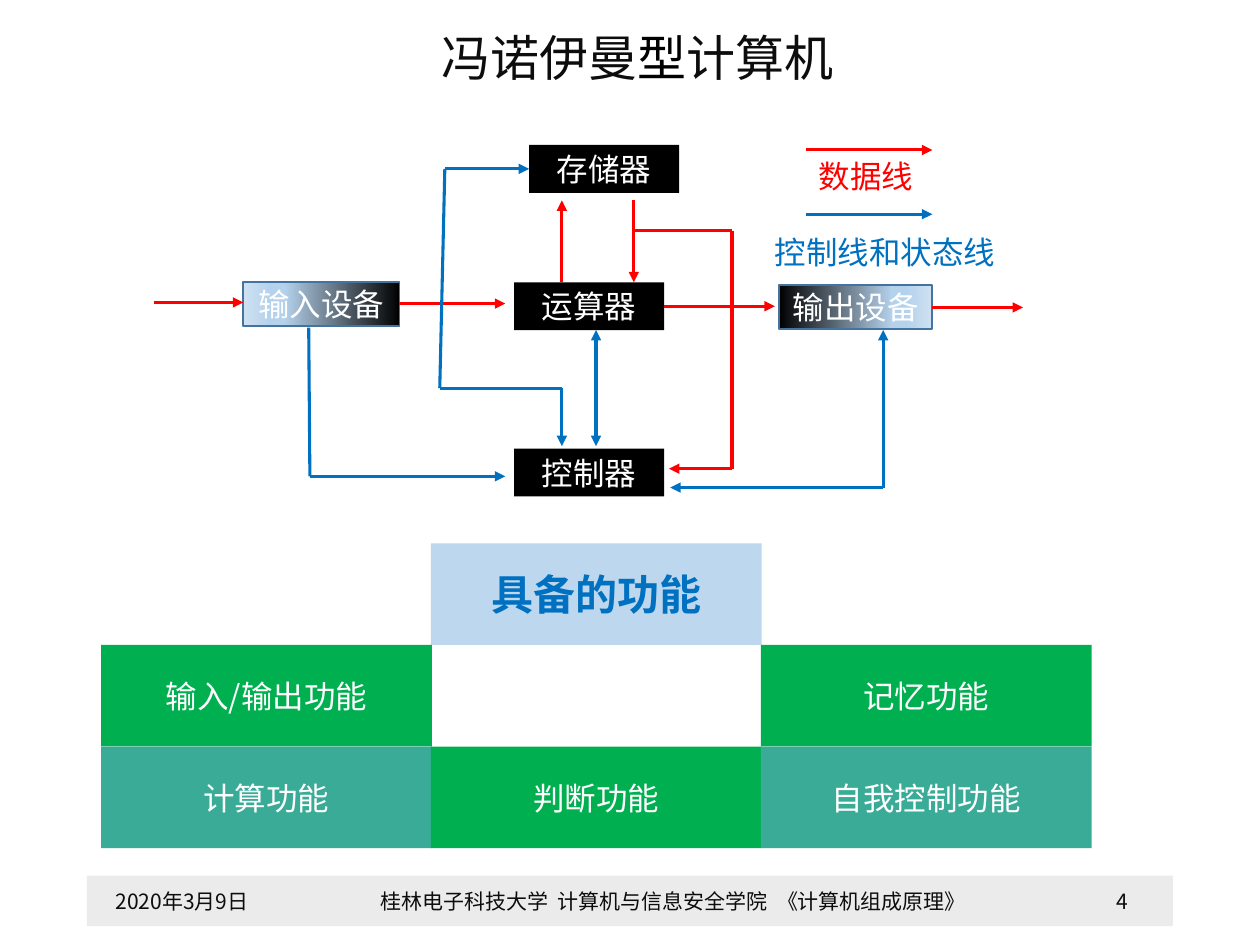
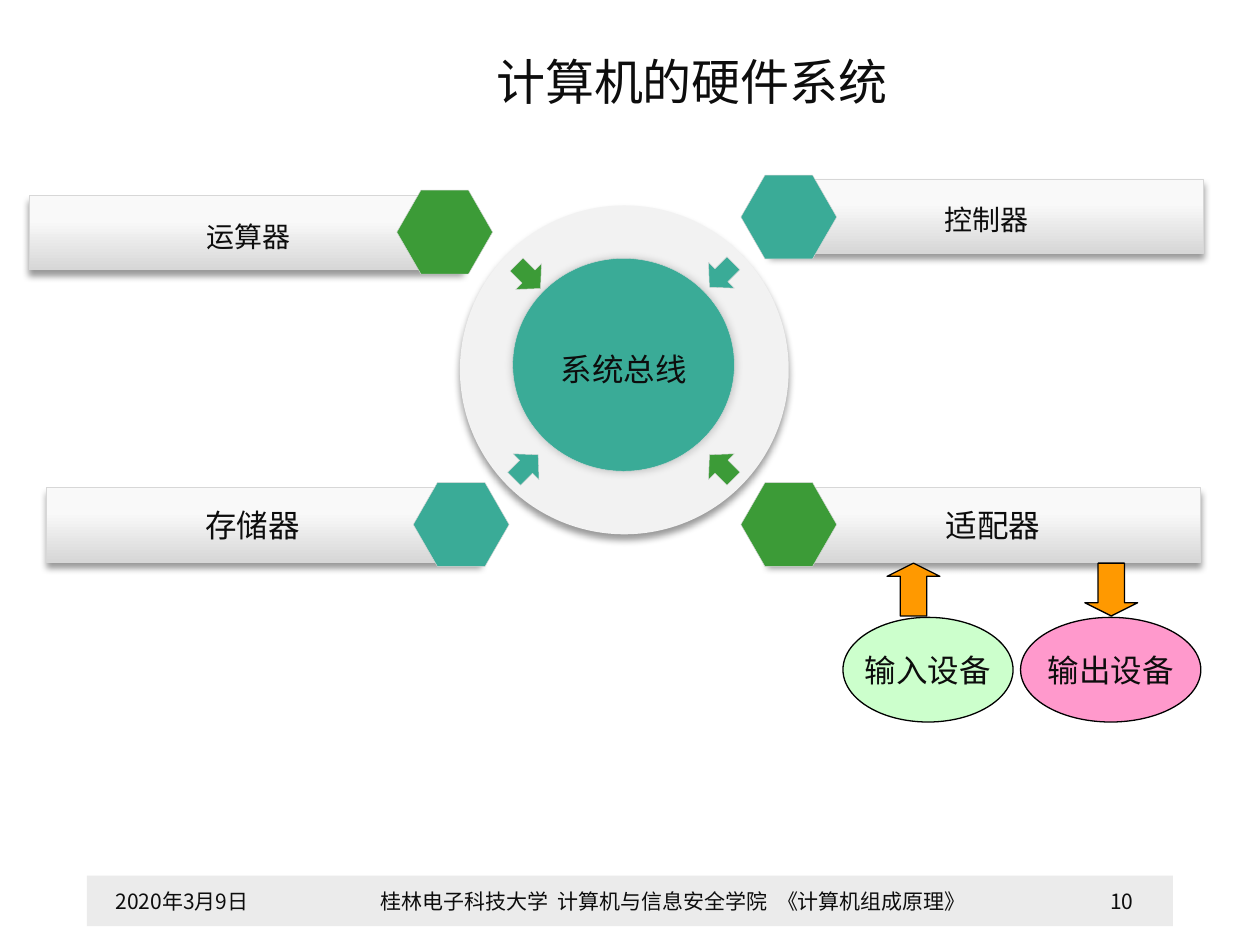
"""Build two slides on the von Neumann computer and its hardware system."""
from lxml import etree
from copy import deepcopy
from pptx import Presentation, util as u
from pptx.dml import color
from pptx.enum import shapes, text
from pptx.oxml import ns

FOOTER = [("2020年3月9日", 49.7, 108.7),
          ("桂林电子科技大学  计算机与信息安全学院  《计算机组成原理》", 207.4, 355)]
PAGE_NUMBER_PLACE = (612, 58.3)

UNITS = [("存储器", 302.4, 82.8), ("运算器", 293.8, 161.3), ("控制器", 293.8, 256.3)]
DEVICES = [("输入设备", 139, 161.3, 89.3, 180), ("输出设备", 445, 162.7, 87.8, 0)]
LEGEND = [("数据线", "data", 460.8, 88.6, 72.7), ("控制线和状态线", "control", 435.6, 131.8, 149)]
ONE_WAY, TWO_WAY = False, True
ROUTES = [
    ("data", ONE_WAY, [(87.8, 172.8), (139, 172.8)]),
    ("data", ONE_WAY, [(228.2, 173.5), (288.7, 173.5)]),
    ("data", ONE_WAY, [(379.4, 175), (442.8, 175)]),
    ("data", ONE_WAY, [(532.8, 175.7), (584.6, 175.7)]),
    ("data", ONE_WAY, [(362.2, 114.5), (362.2, 161.3)]),
    ("data", ONE_WAY, [(321.1, 161.3), (321.1, 114.5)]),
    ("data", ONE_WAY, [(362.2, 131.8), (418.3, 131.8), (418.3, 267.8), (382.3, 267.8)]),
    ("data", ONE_WAY, [(460.8, 85.7), (532.8, 85.7)]),
    ("control", ONE_WAY, [(460.8, 122.4), (532.8, 122.4)]),
    ("control", ONE_WAY, [(176.4, 187.2), (177.1, 272.2), (288.7, 272.2)]),
    ("control", TWO_WAY, [(340.6, 188.6), (340.6, 254.9)]),
    ("control", TWO_WAY, [(302.4, 96.5), (254.2, 96.5), (251.3, 221.8),
                          (321.1, 221.8), (321.1, 254.9)]),
    ("control", TWO_WAY, [(504.7, 188.6), (504.7, 278.6), (383, 278.6)]),
]
FUNCTIONS = [
    [None, ("具备的功能", "heading_fill"), None],
    [("输入/输出功能", "function"), None, ("记忆功能", "function")],
    [("计算功能", "teal"), ("判断功能", "function"), ("自我控制功能", "teal")],
]

BARS = [(" 运算器", 16.6, 111.6, 226.8, 108.7, "green"),
        ("控制器", 439.9, 102.2, 423.4, 100.1, "teal"),
        (None, 438.5, 278.6, 423.4, 275.8, "green"),
        (None, 26.6, 278.6, 236.2, 275.8, "teal")]
BAR_LABELS = [("适配器", 533.5), ("存储器", 110.2)]
BUS_ARROWS = [(291.6, 148.3, 315, "green"), (401.8, 147.6, 45, "teal"),
              (401.8, 257, 135, "green"), (290.2, 257, 225, "teal")]
PERIPHERALS = [("输入设备", 481.7, 97.2, "input", 506.9, "UP_ARROW"),
               ("输出设备", 583.2, 103, "output", 619.9, "DOWN_ARROW")]

THEME = {
    "font": "Noto Sans CJK SC",
    "sizes": {"title": 28, "heading": 24, "body": 18, "bar": 16, "footer": 12},
    "colours": {
        "ink": "0D0D0D", "black": "000000", "white": "FFFFFF", "footer": "EBEBEB",
        "data": "FF0000", "control": "0070C0", "device_line": "43739E",
        "heading_fill": "BDD7EE", "function": "00B050", "teal": "3AAB97",
        "green": "3C9B37", "ring": "F2F2F2", "edge": "D7D7D7",
        "input": "CCFFCC", "output": "FF99CC", "peripheral_arrow": "FF9900"},
    "device_gradient": [(0, "000000"), (0.74, "B5D2EC"), (0.83, "B5D2EC"), (1, "CEE1F2")],
    "bar_gradient": [(0.33, "F9F9F9"), (1, "D7D7D7")],
    "drop_shadow": (40, 4, 3, 90),
    "glow_shadow": (20, 5, 0, 0),
}


def rgb(name):
    return color.RGBColor.from_string(THEME["colours"][name])


def write(shape, content, size="body", colour="ink", align="CENTER", anchor="MIDDLE",
          bold=False, wrap=True, spacing=None):
    frame = shape.text_frame
    frame.word_wrap = wrap
    frame.vertical_anchor = text.MSO_ANCHOR[anchor]
    paragraph = frame.paragraphs[0]
    paragraph.alignment = text.PP_ALIGN[align]
    if spacing:
        paragraph.line_spacing = spacing
    parts = [(content, colour)] if isinstance(content, str) else content
    for words, part_colour in parts:
        run = paragraph.add_run()
        run.text = words
        run.font.name = THEME["font"]
        run.font.size = u.Pt(THEME["sizes"][size])
        run.font.bold = bold
        run.font.color.rgb = rgb(part_colour)
        etree.SubElement(run.font._element, ns.qn("a:ea"), typeface=THEME["font"])


def add_label(slide, content, left, top, width, height, **style):
    label = slide.shapes.add_textbox(*map(u.Pt, (left, top, width, height)))
    write(label, content, **style)


def fill_gradient(shape, stops, angle):
    shape.fill.gradient()
    shape.fill.gradient_angle = angle
    stop_list = shape._element.spPr.find(ns.qn("a:gradFill")).find(ns.qn("a:gsLst"))
    for _ in stops[2:]:
        stop_list.append(deepcopy(stop_list[0]))
    for stop, (position, value) in zip(shape.fill.gradient_stops, stops):
        stop.position = position
        stop.color.rgb = color.RGBColor.from_string(value)


def cast_shadow(shape, opacity, blur, distance, angle):
    effects = shape._element.spPr.find(ns.qn("a:effectLst"))
    shadow = etree.SubElement(
        effects, ns.qn("a:outerShdw"), blurRad=str(u.Pt(blur)), dist=str(u.Pt(distance)),
        dir=str(angle * 60000), algn="ctr", rotWithShape="0")
    shade = etree.SubElement(shadow, ns.qn("a:srgbClr"), val=THEME["colours"]["black"])
    etree.SubElement(shade, ns.qn("a:alpha"), val=str(opacity * 1000))


def add_form(slide, kind, left, top, width, height, fill=None, gradient=None, angle=0,
             line=None, line_width=0.25, shadow=None, rotation=0):
    shape = slide.shapes.add_shape(
        shapes.MSO_SHAPE[kind], *map(u.Pt, (left, top, width, height)))
    shape.shadow.inherit = False
    shape.rotation = rotation
    if gradient:
        fill_gradient(shape, THEME[gradient], angle)
    else:
        shape.fill.solid()
        shape.fill.fore_color.rgb = rgb(fill)
    if line:
        shape.line.color.rgb = rgb(line)
        shape.line.width = u.Pt(line_width)
    else:
        shape.line.fill.background()
    if shadow:
        cast_shadow(shape, *THEME[shadow])
    return shape


def add_route(slide, colour, two_way, points):
    last = len(points) - 2
    for index, (start, end) in enumerate(zip(points, points[1:])):
        connector = slide.shapes.add_connector(
            shapes.MSO_CONNECTOR.STRAIGHT, *map(u.Pt, start + end))
        connector.line.color.rgb = rgb(colour)
        connector.line.width = u.Pt(1.75)
        properties = connector._element.spPr
        outline = properties.find(ns.qn("a:ln"))
        if two_way and index == 0:
            etree.SubElement(outline, ns.qn("a:headEnd"), type="triangle")
        if index == last:
            etree.SubElement(outline, ns.qn("a:tailEnd"), type="triangle")
        etree.SubElement(properties, ns.qn("a:effectLst"))


def start_slide(presentation, title, left, top, number):
    slide = presentation.slides.add_slide(presentation.slide_layouts[6])
    band_top, band_height = 500.4, 28.8
    add_form(slide, "RECTANGLE", 49.7, band_top, 620.6, band_height, fill="footer")
    for words, part_left, width in FOOTER + [(number, *PAGE_NUMBER_PLACE)]:
        add_label(slide, words, part_left, band_top, width, band_height, size="footer")
    add_label(slide, title, left, top, 240.5, 38.2, size="title", align="LEFT",
              anchor="TOP", wrap=False, spacing=0.9)
    return slide


def build_von_neumann(presentation):
    title = [("冯诺伊曼", "ink"), ("型", "black"), ("计算机", "ink")]
    slide = start_slide(presentation, title, 245.5, 15.8, "4")
    for name, left, top, width, angle in DEVICES:
        device = add_form(slide, "RECTANGLE", left, top, width, 25.2, angle=angle,
                          gradient="device_gradient", line="device_line", line_width=1)
        write(device, name, colour="white")
    for name, left, top in UNITS:
        unit = add_form(slide, "RECTANGLE", left, top, 85.7, 27.4, fill="black")
        write(unit, name, colour="white")
    for route in ROUTES:
        add_route(slide, *route)
    for name, colour, left, top, width in LEGEND:
        add_label(slide, name, left, top, width, 26.6, colour=colour, align="LEFT",
                  anchor="TOP", spacing=0.9)
    for row, cells in enumerate(FUNCTIONS):
        for column, cell in enumerate(cells):
            if not cell:
                continue
            name, fill = cell
            tile = add_form(slide, "RECTANGLE", 57.8 + column * 188.5, 310.5 + row * 58.1,
                            189, 58, fill=fill)
            if row == 0:
                write(tile, name, size="heading", colour="control", bold=True)
            else:
                write(tile, name, colour="white")


def build_hardware(presentation):
    slide = start_slide(presentation, "计算机的硬件系统", 276.5, 29.5, "10")
    add_form(slide, "OVAL", 262.8, 117.4, 187.9, 187.9, fill="ring", shadow="drop_shadow")
    bus = add_form(slide, "OVAL", 293, 147.6, 126.7, 121.7, fill="teal", line="edge",
                   shadow="glow_shadow")
    write(bus, "系统总线", spacing=1.2)
    for left, top, rotation, fill in BUS_ARROWS:
        add_form(slide, "DOWN_ARROW", left, top, 20.9, 19.4, fill=fill, line="edge",
                 rotation=rotation)
    for name, left, top, hexagon_left, hexagon_top, fill in BARS:
        bar = add_form(slide, "RECTANGLE", left, top, 247.7, 42.5, gradient="bar_gradient",
                       angle=270, line="edge", shadow="drop_shadow")
        if name:
            write(bar, name, size="bar", spacing=1.2)
        hexagon = add_form(slide, "HEXAGON", hexagon_left, hexagon_top, 54.7, 47.9,
                           fill=fill, line="edge")
        hexagon.adjustments[0] = 0.287
    for name, left in BAR_LABELS:
        add_label(slide, name, left, 285.8, 69.1, 28.8, align="LEFT", anchor="TOP",
                  wrap=False)
    for name, left, width, fill, arrow_left, arrow in PERIPHERALS:
        device = add_form(slide, "OVAL", left, 352.8, width, 59.8, fill=fill,
                          line="black", line_width=0.75)
        write(device, name, wrap=False)
        pointer = add_form(slide, arrow, arrow_left, 321.8, 30.2, 30.2,
                           fill="peripheral_arrow", line="black", line_width=0.75)
        pointer.adjustments[1] = 0.25


def main():
    presentation = Presentation()
    presentation.slide_width, presentation.slide_height = u.Pt(720), u.Pt(540)
    build_von_neumann(presentation)
    build_hardware(presentation)
    presentation.save("out.pptx")


if __name__ == "__main__":
    main()
